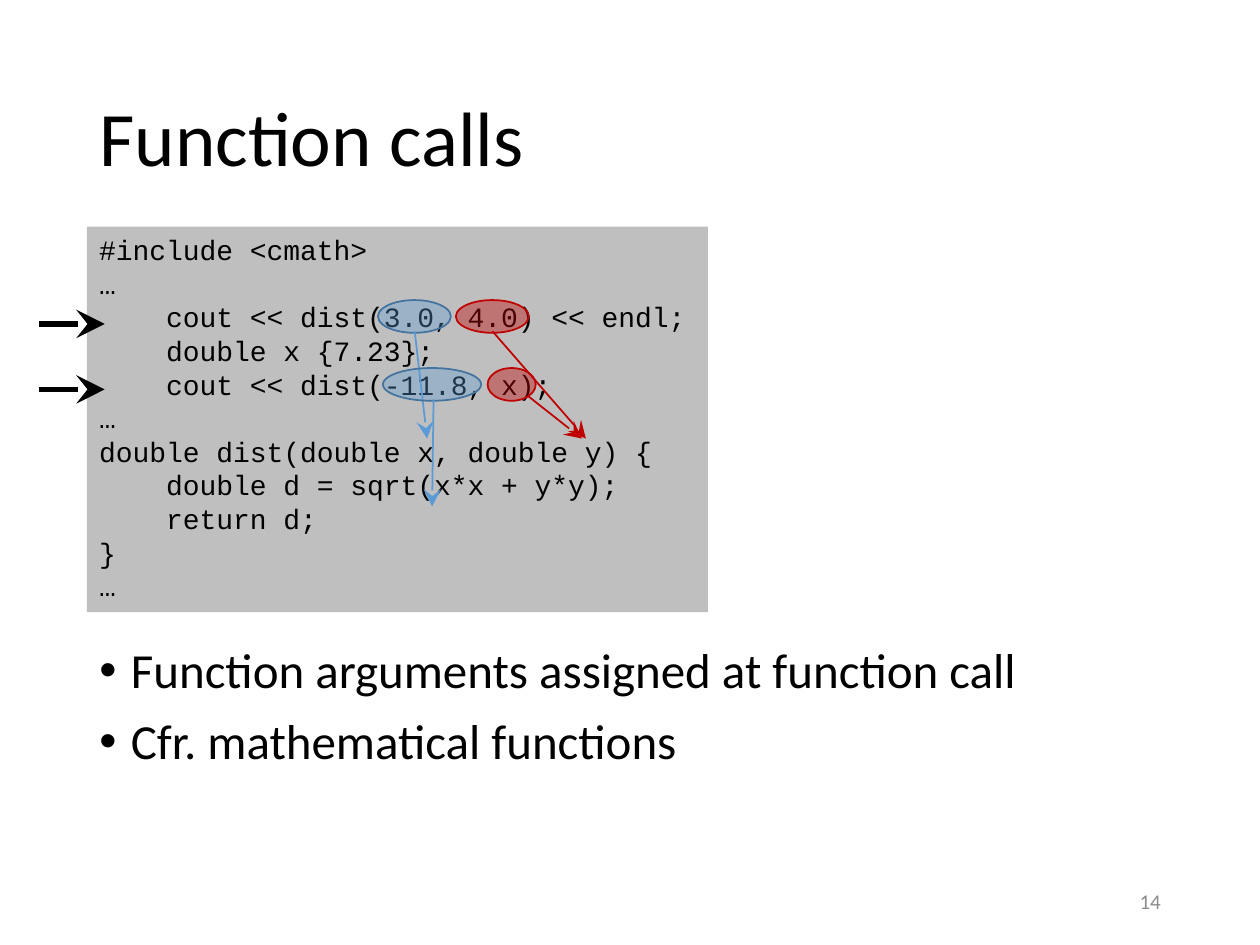
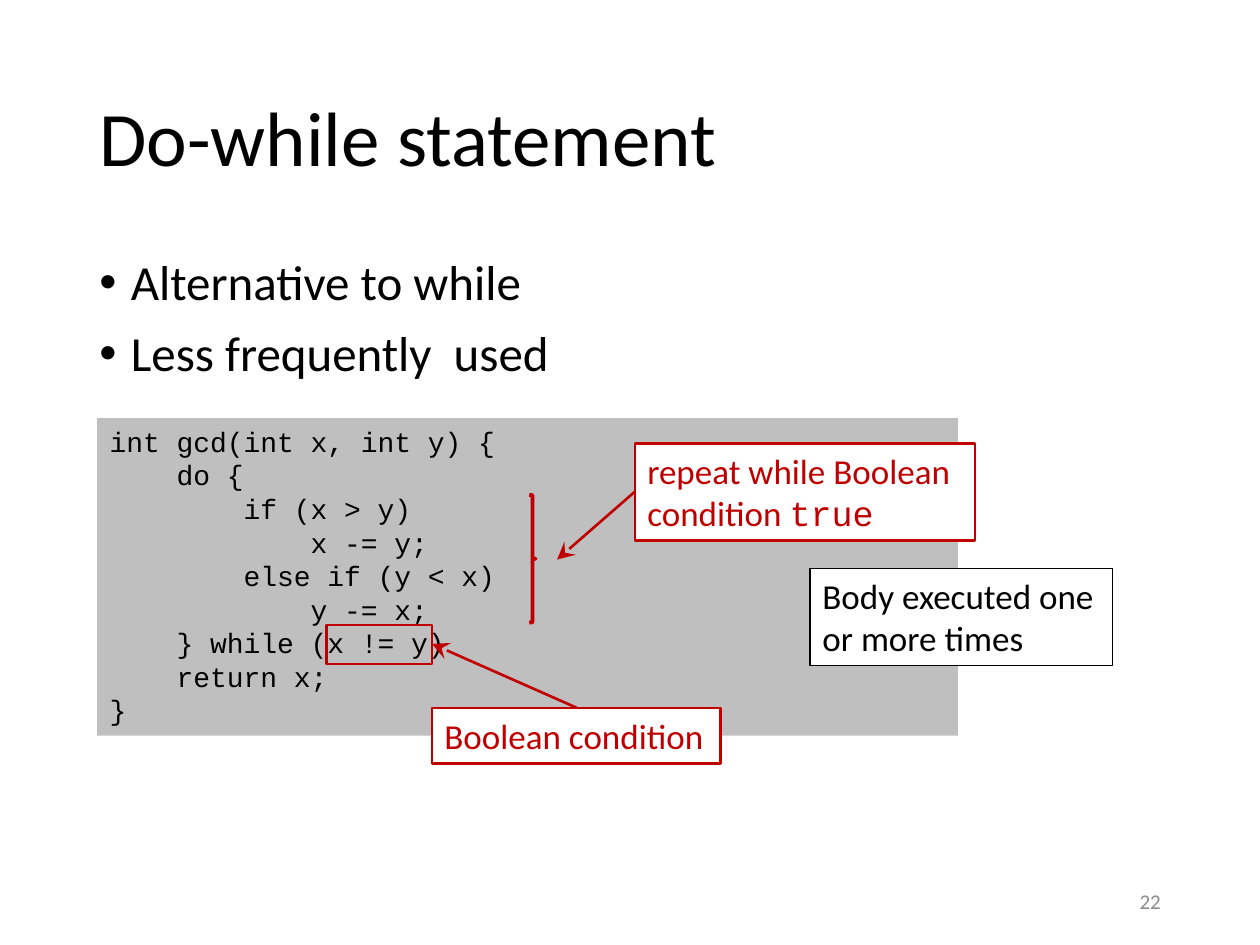
from lxml import etree
from pptx import Presentation
from pptx import util as u
from pptx.dml.color import RGBColor
from pptx.enum import shapes, text
from pptx.oxml.ns import qn

# Shared look
SANS, MONO = "Calibri", "Courier New"
BLACK, WHITE, GRAY, CODE_FILL = "000000", "FFFFFF", "8C8C8C", "BFBFBF"
BLUE, BLUE_EDGE, RED = "5B9BD5", "43739E", "C00000"
TITLE_AREA = (1.75, 1.02, 21.89, 3.68)
NUMBER_AREA = (17.93, 17.65, 5.72, 1.02)

# Content: lengths in cm, areas as left, top, width, height
CALLS = {
    "title": "Function calls",
    "number": "14",
    "bullets": ["Function arguments assigned at function call",
                "Cfr. mathematical functions"],
    "bullet_area": (1.75, 12.9, 21.89, 4.24),
    "code_area": (1.75, 4.57, 12.52, 7.77),
    "code": """#include <cmath>
…
    cout << dist(3.0, 4.0) << endl;
    double x {7.23};
    cout << dist(-11.8, x);
…
double dist(double x, double y) {
    double d = sqrt(x*x + y*y);
    return d;
}
…""",
}
DO_WHILE = {
    "title": "Do-while statement",
    "number": "22",
    "bullets": ["Alternative to while", "Less frequently  used"],
    "bullet_area": (1.75, 5.08, 21.89, 12.09),
    "code_area": (1.96, 8.43, 17.35, 6.4),
    "code": """int gcd(int x, int y) {
    do {
        if (x > y)
            x -= y;
        else if (y < x)
            y -= x;
    } while (x != y)
    return x;
}""",
}

# Arguments: left, top, width of the oval, fill, edge, opacity, arrow start and end
OVAL_HEIGHT = 0.66
ARGUMENTS = [
    (7.62, 6.05, 1.47, BLUE, BLUE_EDGE, 35, (8.36, 6.68), (8.61, 8.84)),
    (9.19, 6.05, 1.47, RED, RED, 39, (9.93, 6.68), (11.81, 8.84)),
    (7.72, 7.42, 1.98, BLUE, BLUE_EDGE, 35, (8.74, 8.05), (8.71, 10.21)),
    (9.83, 7.42, 0.97, RED, RED, 39, (10.64, 7.98), (11.73, 8.84)),
]
CALL_ROWS = [6.53, 7.85]

# Callouts: area, edge, edge width, spans of (text, font)
CALLOUTS = [
    ((8.71, 14.27, 5.82, 1.12), RED, 1.5, [("Boolean condition", SANS)]),
    ((12.8, 8.94, 6.86, 1.96), RED, 1.5,
     [("repeat while Boolean condition ", SANS), ("true", MONO)]),
    ((16.33, 11.46, 6.1, 1.96), BLACK, 0.75,
     [("Body executed one or more times", SANS)]),
]
CALLOUT_ARROWS = [((11.63, 14.27), (8.71, 12.98)), ((12.8, 9.91), (11.23, 11.28))]
CONDITION_AREA = (6.58, 12.6, 2.13, 0.79)
BRACE_AREA = (10.67, 9.98, 0.13, 2.57)


def color(value):
    return RGBColor.from_string(value)


def place(box, area):
    box.left, box.top, box.width, box.height = map(u.Cm, area)


def write(para, content, size=20, font=SANS, ink=BLACK, align=text.PP_ALIGN.LEFT):
    para.alignment = align
    span = para.add_run()
    span.text = content
    span.font.size = u.Pt(size)
    span.font.name = font
    span.font.color.rgb = color(ink)


def paragraphs(frame, count):
    return [frame.paragraphs[0]] + [frame.add_paragraph() for _ in range(count - 1)]


def add_box(page, kind, area, fill=None, opacity=None, edge=None, width=1):
    box = page.shapes.add_shape(kind, *map(u.Cm, area))
    box.shadow.inherit = False
    if fill:
        box.fill.solid()
        box.fill.fore_color.rgb = color(fill)
    else:
        box.fill.background()
    if opacity:
        tint = box.fill._xPr.find(qn("a:solidFill"))[0]
        etree.SubElement(tint, qn("a:alpha")).set("val", str(opacity * 1000))
    if edge:
        box.line.color.rgb = color(edge)
        box.line.width = u.Pt(width)
    else:
        box.line.fill.background()
    return box


def add_text_box(page, area, **look):
    box = add_box(page, shapes.MSO_SHAPE.RECTANGLE, area, **look)
    frame = box.text_frame
    frame.word_wrap = True
    frame.vertical_anchor = text.MSO_ANCHOR.TOP
    frame.auto_size = text.MSO_AUTO_SIZE.SHAPE_TO_FIT_TEXT
    return frame


def add_arrow(page, start, end, ink, width):
    arrow = page.shapes.add_connector(
        shapes.MSO_CONNECTOR.STRAIGHT, *map(u.Cm, start + end))
    arrow.line.color.rgb = color(ink)
    arrow.line.width = u.Pt(width)
    head = etree.SubElement(arrow.line._get_or_add_ln(), qn("a:tailEnd"))
    for key, value in (("type", "stealth"), ("w", "lg"), ("len", "lg")):
        head.set(key, value)
    etree.SubElement(arrow._element.spPr, qn("a:effectLst"))


def add_page(deck, content):
    """Title, bullets, page number and code panel."""
    page = deck.slides.add_slide(deck.slide_layouts[1])
    title, body = page.placeholders
    place(title, TITLE_AREA)
    title.text_frame.vertical_anchor = text.MSO_ANCHOR.MIDDLE
    heading = title.text_frame.paragraphs[0]
    heading.line_spacing = 0.9
    write(heading, content["title"], size=44)

    place(body, content["bullet_area"])
    body.text_frame.auto_size = text.MSO_AUTO_SIZE.NONE
    bullets = content["bullets"]
    for index, para in enumerate(paragraphs(body.text_frame, len(bullets))):
        para.line_spacing = 0.9
        para.space_before = u.Pt(10 if index else 0)
        settings = para._p.get_or_add_pPr()
        settings.set("marL", str(u.Cm(0.635)))
        settings.set("indent", str(-u.Cm(0.635)))
        etree.SubElement(settings, qn("a:buFont")).set("typeface", "Arial")
        etree.SubElement(settings, qn("a:buChar")).set("char", "•")
        write(para, bullets[index], size=28)

    number = page.shapes.add_textbox(*map(u.Cm, NUMBER_AREA)).text_frame
    number.word_wrap = True
    number.vertical_anchor = text.MSO_ANCHOR.MIDDLE
    write(number.paragraphs[0], content["number"], size=12, ink=GRAY,
          align=text.PP_ALIGN.RIGHT)

    lines = content["code"].split("\n")
    frame = add_text_box(page, content["code_area"], fill=CODE_FILL)
    for para, line in zip(paragraphs(frame, len(lines)), lines):
        write(para, line, size=16, font=MONO)
    return page


def main():
    deck = Presentation()
    deck.slide_width, deck.slide_height = u.Cm(25.4), u.Cm(19.05)

    # Function calls: arguments linked to parameters, arrows at the calls
    page = add_page(deck, CALLS)
    for left, top, width, fill, edge, opacity, start, end in ARGUMENTS:
        add_box(page, shapes.MSO_SHAPE.OVAL, (left, top, width, OVAL_HEIGHT),
                fill=fill, opacity=opacity, edge=edge)
        add_arrow(page, start, end, fill, 1)
    for row in CALL_ROWS:
        add_arrow(page, (0.79, row), (2.11, row), BLACK, 3.25)

    # Do-while: condition frame, body brace and callouts
    page = add_page(deck, DO_WHILE)
    add_box(page, shapes.MSO_SHAPE.RECTANGLE, CONDITION_AREA, edge=RED, width=1.5)
    add_box(page, shapes.MSO_SHAPE.RIGHT_BRACE, BRACE_AREA, edge=RED, width=2.25)
    for area, edge, width, spans in CALLOUTS:
        frame = add_text_box(page, area, fill=WHITE, edge=edge, width=width)
        for content, font in spans:
            write(frame.paragraphs[0], content, font=font, ink=edge)
    for start, end in CALLOUT_ARROWS:
        add_arrow(page, start, end, RED, 1.5)

    deck.save("out.pptx")


if __name__ == "__main__":
    main()
